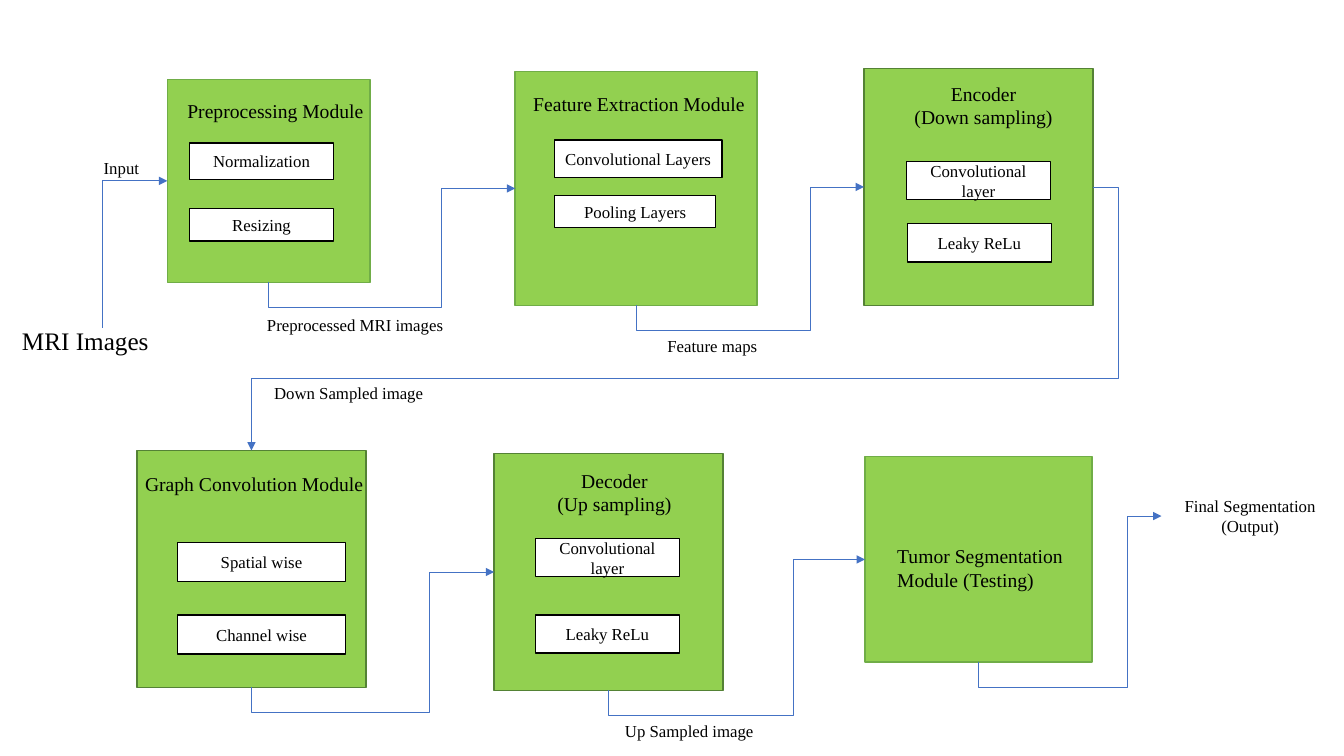
from dataclasses import dataclass

import pptx
import pptx.dml.color
import pptx.enum.shapes
import pptx.enum.text
import pptx.oxml
import pptx.oxml.ns
import pptx.shapes.autoshape
import pptx.shapes.base
import pptx.shapes.connector
import pptx.slide
import pptx.util

Inches = pptx.util.Inches
Align = pptx.enum.text.PP_ALIGN
RGBColor = pptx.dml.color.RGBColor

BLACK = RGBColor(0x00, 0x00, 0x00)
WHITE = RGBColor(0xFF, 0xFF, 0xFF)
PANEL_GREEN = RGBColor(0x92, 0xD0, 0x50)
EDGE_GREEN = RGBColor(0x70, 0xAD, 0x47)
DARK_GREEN = RGBColor(0x54, 0x82, 0x35)
FLOW_BLUE = RGBColor(0x44, 0x72, 0xC4)
FONT = "Times New Roman"
STUB = 0.25
BOTTOM, LEFT, TOP, RIGHT = 2, 1, 0, 3


@dataclass
class Frame:
    left: float
    top: float
    width: float
    height: float

    def site(self, side: int) -> tuple[float, float]:
        across = {LEFT: 0, RIGHT: 1}.get(side, 0.5)
        down = {TOP: 0, BOTTOM: 1}.get(side, 0.5)
        return self.left + across * self.width, self.top + down * self.height


@dataclass
class Panel:
    name: str
    frame: Frame
    edge: RGBColor


@dataclass
class Step:
    text: str
    frame: Frame


@dataclass
class Label:
    text: str
    frame: Frame
    size: int = 12
    align: Align = Align.LEFT
    name: str = ""


@dataclass
class Flow:
    source: str
    target: str
    turn: float
    source_side: int = BOTTOM
    target_side: int = LEFT


PANELS = [
    Panel("preprocessing", Frame(1.66, 0.79, 2.01, 2.01), EDGE_GREEN),
    Panel("features", Frame(5.11, 0.71, 2.4, 2.32), EDGE_GREEN),
    Panel("encoder", Frame(8.57, 0.68, 2.27, 2.35), DARK_GREEN),
    Panel("graph", Frame(1.36, 4.47, 2.27, 2.35), DARK_GREEN),
    Panel("decoder", Frame(4.9, 4.5, 2.27, 2.35), DARK_GREEN),
    Panel("segmentation", Frame(8.58, 4.53, 2.25, 2.04), EDGE_GREEN),
]

STEPS = [
    Step("Normalization", Frame(1.88, 1.42, 1.43, 0.36)),
    Step("Resizing", Frame(1.88, 2.07, 1.43, 0.32)),
    Step("Convolutional Layers", Frame(5.5, 1.39, 1.66, 0.37)),
    Step("Pooling Layers", Frame(5.5, 1.94, 1.6, 0.32)),
    Step("Convolutional layer", Frame(8.99, 1.6, 1.43, 0.38)),
    Step("Leaky ReLu", Frame(9, 2.22, 1.43, 0.38)),
    Step("Spatial wise", Frame(1.76, 5.38, 1.67, 0.39)),
    Step("Channel wise", Frame(1.76, 6.1, 1.67, 0.39)),
    Step("Convolutional layer", Frame(5.31, 5.34, 1.43, 0.38)),
    Step("Leaky ReLu", Frame(5.31, 6.1, 1.43, 0.38)),
]

LABELS = [
    Label("Preprocessing Module", Frame(1.76, 0.93, 2.03, 0.57), 14),
    Label("Feature Extraction Module", Frame(5.19, 0.86, 2.4, 0.34), 14),
    Label("Encoder\n(Down sampling)", Frame(8.88, 0.76, 1.75, 0.57), 14, Align.CENTER),
    Label("Graph Convolution Module", Frame(1.34, 4.63, 2.46, 0.34), 14),
    Label("Decoder\n(Up sampling)", Frame(5.23, 4.6, 1.73, 0.57), 14, Align.CENTER),
    Label("Tumor Segmentation Module (Testing)", Frame(8.8, 5.35, 2.03, 0.57), 14),
    Label("Input", Frame(0.93, 1.52, 0.71, 0.3)),
    Label("MRI Images", Frame(0.12, 3.18, 1.54, 0.4), 18),
    Label("Preprocessed MRI images", Frame(2.55, 3.07, 2.16, 0.3)),
    Label("Feature maps", Frame(6.52, 3.28, 1.15, 0.3)),
    Label("Down Sampled image", Frame(2.62, 3.75, 2.14, 0.3)),
    Label("Up Sampled image", Frame(6.1, 7.1, 2.14, 0.3)),
    Label("Final Segmentation\n(Output)", Frame(11.52, 4.87, 1.76, 0.5), 12, Align.CENTER, "output"),
]

FLOWS = [
    Flow("preprocessing", "features", 4.38),
    Flow("features", "encoder", 8.04),
    Flow("encoder", "graph", 3.75, RIGHT, TOP),
    Flow("graph", "decoder", 4.26),
    Flow("decoder", "segmentation", 7.87),
    Flow("segmentation", "output", 11.18),
]


def write_text(box: pptx.shapes.autoshape.Shape, text: str, size: int, align: Align) -> None:
    box.text_frame.word_wrap = True
    box.text_frame.text = text
    for para in box.text_frame.paragraphs:
        para.alignment = align
        para.font.name = FONT
        para.font.size = pptx.util.Pt(size)
        para.font.color.rgb = BLACK


def add_box(page: pptx.slide.Slide, frame: Frame, fill: RGBColor, edge: RGBColor) -> pptx.shapes.autoshape.Shape:
    box = page.shapes.add_shape(
        pptx.enum.shapes.MSO_SHAPE.RECTANGLE,
        Inches(frame.left), Inches(frame.top), Inches(frame.width), Inches(frame.height),
    )
    box.shadow.inherit = False
    box.fill.solid()
    box.fill.fore_color.rgb = fill
    box.line.color.rgb = edge
    box.line.width = pptx.util.Pt(1)
    return box


def add_step(page: pptx.slide.Slide, step: Step) -> None:
    box = add_box(page, step.frame, WHITE, BLACK)
    box.text_frame.vertical_anchor = pptx.enum.text.MSO_ANCHOR.MIDDLE
    write_text(box, step.text, 12, Align.CENTER)


def add_label(page: pptx.slide.Slide, label: Label) -> pptx.shapes.autoshape.Shape:
    frame = label.frame
    box = page.shapes.add_textbox(
        Inches(frame.left), Inches(frame.top), Inches(frame.width), Inches(frame.height)
    )
    write_text(box, label.text, label.size, label.align)
    box.text_frame.auto_size = pptx.enum.text.MSO_AUTO_SIZE.SHAPE_TO_FIT_TEXT
    return box


def add_elbow(page: pptx.slide.Slide) -> pptx.shapes.connector.Connector:
    elbow = page.shapes.add_connector(pptx.enum.shapes.MSO_CONNECTOR.ELBOW, 0, 0, 0, 0)
    elbow.line.color.rgb = FLOW_BLUE
    elbow.line.width = pptx.util.Pt(0.5)
    pptx.oxml.ns.qn("a:tailEnd")
    line = elbow.line._get_or_add_ln()
    line.append(line.makeelement(pptx.oxml.ns.qn("a:tailEnd"), {"type": "triangle"}))
    properties = elbow._element.spPr
    properties.append(properties.makeelement(pptx.oxml.ns.qn("a:effectLst"), {}))
    return elbow


def route(elbow: pptx.shapes.connector.Connector, start: tuple[float, float],
          end: tuple[float, float], upright: bool, bends: list[float]) -> None:
    run, rise = abs(end[0] - start[0]), abs(end[1] - start[1])
    width, height = (rise, run) if upright else (run, rise)
    elbow.left = Inches((start[0] + end[0] - width) / 2)
    elbow.top = Inches((start[1] + end[1] - height) / 2)
    elbow.width, elbow.height = Inches(width), Inches(height)
    transform = elbow._element.spPr.xfrm
    transform.set("flipH", "1")
    transform.set("flipV", "1" if upright else "0")
    transform.set("rot", "5400000" if upright else "0")
    geometry = elbow._element.spPr.find(pptx.oxml.ns.qn("a:prstGeom"))
    geometry.set("prst", f"bentConnector{len(bends) + 2}")
    guides = geometry.get_or_add_avLst()
    for number, bend in enumerate(bends, 1):
        guide = {"name": f"adj{number}", "fmla": f"val {round(bend * 100000)}"}
        guides.append(guides.makeelement(pptx.oxml.ns.qn("a:gd"), guide))


def add_flow(page: pptx.slide.Slide, flow: Flow, frames: dict[str, Frame],
             boxes: dict[str, pptx.shapes.base.BaseShape]) -> None:
    start = frames[flow.source].site(flow.source_side)
    end = frames[flow.target].site(flow.target_side)
    upright = flow.source_side == BOTTOM
    along, across = (1, 0) if upright else (0, 1)
    bends = [
        -STUB / (start[along] - end[along]),
        (flow.turn - start[across]) / (end[across] - start[across]),
    ]
    elbow = add_elbow(page)
    elbow.begin_connect(boxes[flow.source], flow.source_side)
    elbow.end_connect(boxes[flow.target], flow.target_side)
    route(elbow, start, end, upright, bends)


def main() -> None:
    deck = pptx.Presentation()
    deck.slide_width, deck.slide_height = Inches(13.33), Inches(7.5)
    page = deck.slides.add_slide(deck.slide_layouts[6])
    boxes = {panel.name: add_box(page, panel.frame, PANEL_GREEN, panel.edge) for panel in PANELS}
    for step in STEPS:
        add_step(page, step)
    for label in LABELS:
        box = add_label(page, label)
        if label.name:
            boxes[label.name] = box
    frames = {item.name: item.frame for item in [*PANELS, *LABELS]}
    for flow in FLOWS:
        add_flow(page, flow, frames, boxes)
    entry = add_elbow(page)
    entry.end_connect(boxes["preprocessing"], LEFT)
    route(entry, (1.02, 3.25), frames["preprocessing"].site(LEFT), True, [])
    deck.save("out.pptx")


if __name__ == "__main__":
    main()
